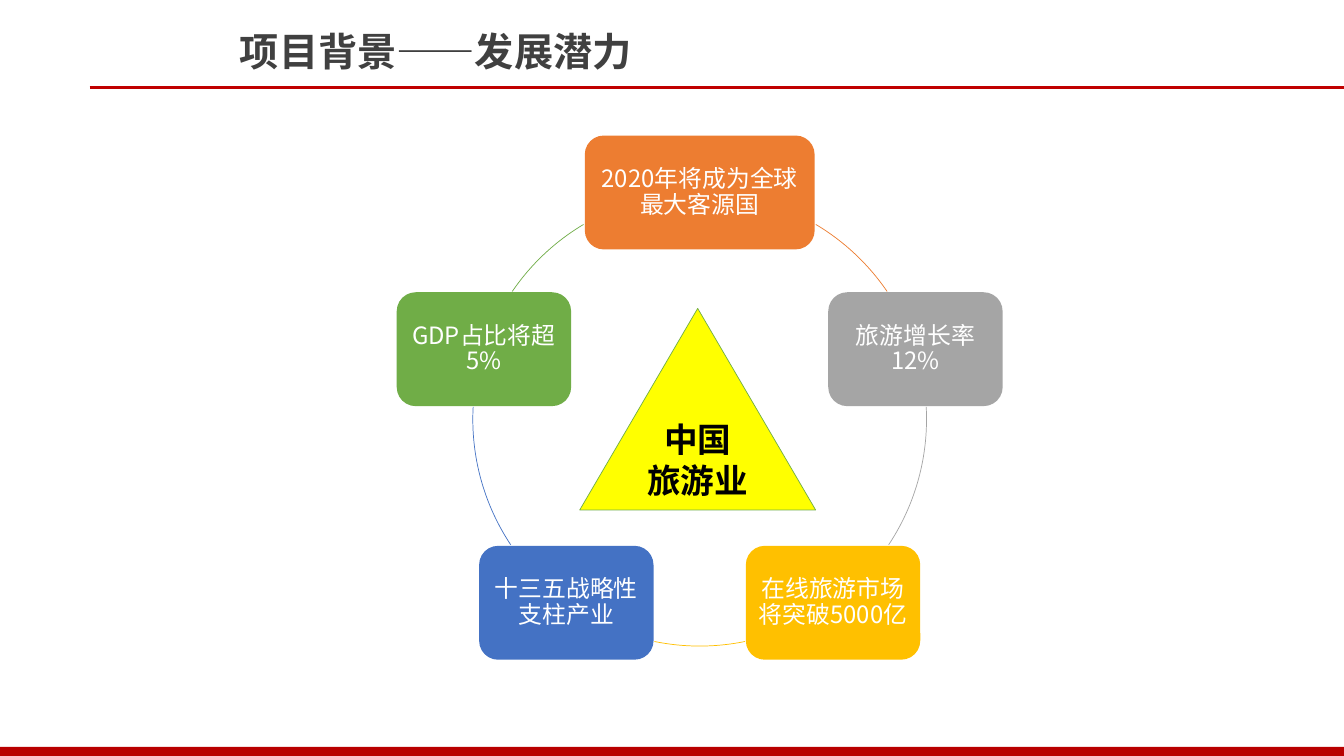
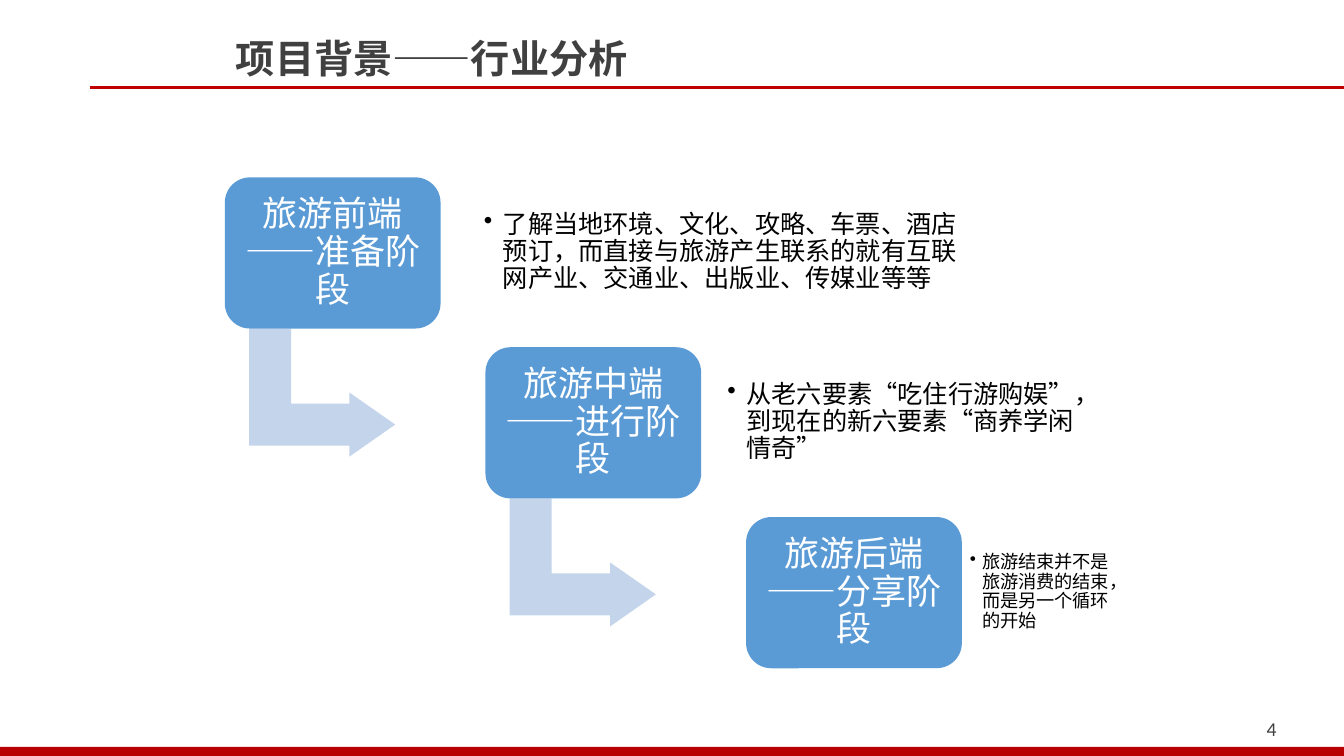
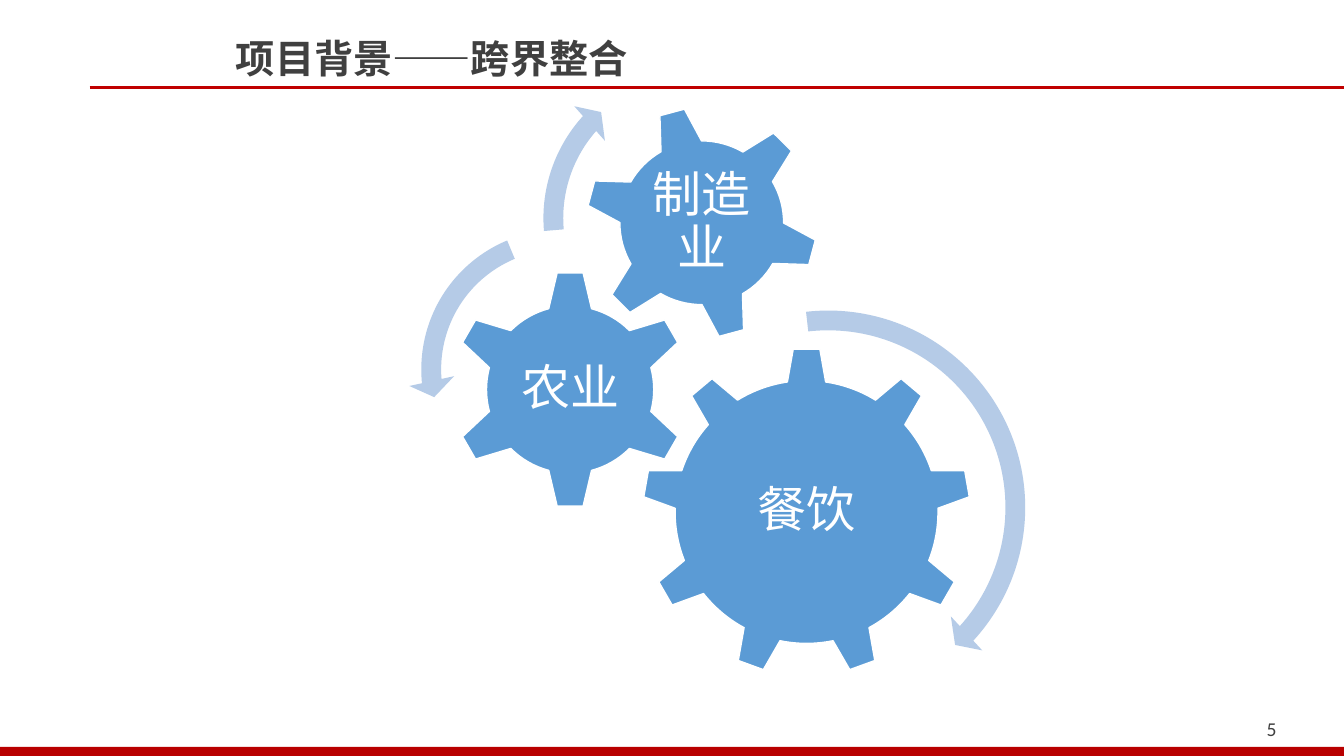
from math import cos, radians, sin

from lxml import etree
from pptx import Presentation
from pptx.dml.color import RGBColor
from pptx.enum.shapes import MSO_CONNECTOR, MSO_SHAPE
from pptx.enum.text import MSO_ANCHOR, MSO_AUTO_SIZE, PP_ALIGN
from pptx.oxml.ns import qn
from pptx.util import Inches, Pt

RECTANGLE, ROUNDED = MSO_SHAPE.RECTANGLE, MSO_SHAPE.ROUNDED_RECTANGLE
ARC, TRIANGLE, BENT_ARROW = MSO_SHAPE.ARC, MSO_SHAPE.ISOSCELES_TRIANGLE, MSO_SHAPE.BENT_UP_ARROW
GEAR_6, GEAR_9 = MSO_SHAPE.GEAR_6, MSO_SHAPE.GEAR_9
CLOCKWISE, COUNTERCLOCKWISE = MSO_SHAPE.CIRCULAR_ARROW, MSO_SHAPE.LEFT_CIRCULAR_ARROW
STRAIGHT = MSO_CONNECTOR.STRAIGHT
TOP, MIDDLE = MSO_ANCHOR.TOP, MSO_ANCHOR.MIDDLE
LEFT, CENTER, RIGHT = PP_ALIGN.LEFT, PP_ALIGN.CENTER, PP_ALIGN.RIGHT

COLORS = {
    "band": "B90000", "rule": "C00000", "title": "404040",
    "white": "FFFFFF", "black": "000000", "yellow": "FFFF00",
    "orange": "ED7D31", "gray": "A5A5A5", "gold": "FFC000",
    "indigo": "4472C4", "green": "70AD47",
    "blue": "5B9BD5", "step_arrow": "C4D5EB", "turn_arrow": "B5CBE7",
}
CJK_FONT = "Noto Sans CJK SC"


def color(name):
    return RGBColor.from_string(COLORS[name])


def add_shape(slide, kind, box, fill=None, line=None, width=0.5, adjustments=()):
    shape = slide.shapes.add_shape(kind, *map(Inches, box))
    shape.shadow.inherit = False
    for index, value in enumerate(adjustments):
        shape.adjustments[index] = value
    for part, name in ((shape.fill, fill), (shape.line.fill, line)):
        if name:
            part.solid()
            part.fore_color.rgb = color(name)
        else:
            part.background()
    if line:
        shape.line.width = Pt(width)
    return shape


def add_bullet(paragraph, indent):
    properties = paragraph._p.get_or_add_pPr()
    properties.set("marL", str(Inches(indent)))
    properties.set("indent", str(-Inches(indent)))
    etree.SubElement(properties, qn("a:buChar")).set("char", "•")


def write(shape, text, size, name, insets, font=CJK_FONT, bold=False,
          align=CENTER, anchor=MIDDLE, spacing=0.9, bullet_indent=None):
    """Fill a shape with text; insets are left, top, right, bottom."""
    frame = shape.text_frame
    sides = ("margin_left", "margin_top", "margin_right", "margin_bottom")
    settings = dict(zip(sides, map(Inches, insets)), word_wrap=True,
                    auto_size=MSO_AUTO_SIZE.NONE, vertical_anchor=anchor)
    for key, value in settings.items():
        setattr(frame, key, value)
    frame.text = text
    for paragraph in frame.paragraphs:
        paragraph.alignment = align
        paragraph.line_spacing = spacing
        if bullet_indent:
            add_bullet(paragraph, bullet_indent)
        run = paragraph.runs[0]
        for key, value in {"size": Pt(size), "bold": bold, "name": font}.items():
            setattr(run.font, key, value)
        run.font.color.rgb = color(name)
        east_asian = etree.SubElement(run._r.get_or_add_rPr(), qn("a:ea"))
        east_asian.set("typeface", CJK_FONT)


def add_text(slide, box, text, size, name, insets, **options):
    write(slide.shapes.add_textbox(*map(Inches, box)), text, size, name, insets, **options)


def place(shape, box):
    for key, value in zip(("left", "top", "width", "height"), box):
        setattr(shape, key, Inches(value))


def add_frame(layout, slide):
    """Move the bottom band and the title rule into the shared layout."""
    band = add_shape(slide, RECTANGLE, (0, 7.41, 13.33, 0.09), "band")
    rule = slide.shapes.add_connector(
        STRAIGHT, Inches(0.89), Inches(0.87), Inches(13.33), Inches(0.87))
    rule.line.color.rgb = color("rule")
    rule.line.width = Pt(2)
    etree.SubElement(rule.element.spPr, qn("a:effectLst"))
    for part in (band, rule):
        layout.shapes.element.append(part.element)


def add_slide(presentation, layout, topic, number=None):
    slide = presentation.slides.add_slide(layout)
    write(slide.shapes.title, "项目背景——" + topic, 28, "title", (0.1, 0.05, 0.1, 0.05),
          bold=True, align=LEFT, anchor=TOP, spacing=1)
    if number:
        add_text(slide, (11.92, 7.06, 0.84, 0.24), str(number), 14, "title",
                 (0.1, 0.05, 0.1, 0.05), font="Calibri", align=RIGHT, anchor=TOP, spacing=1)
    return slide


def add_cycle(slide, box, nodes, arcs):
    """Boxes at equal angles on a circle, joined by arcs."""
    left, top, diameter = box
    radius = diameter / 2
    for index, ((text, fill, width), ends) in enumerate(zip(nodes, arcs)):
        angle = radians(-90 + index * 360 / len(nodes))
        center_x = left + radius + radius * cos(angle)
        center_y = top + radius + radius * sin(angle)
        height = 1.13
        node = add_shape(slide, ROUNDED,
                         (center_x - width / 2, center_y - height / 2, width, height), fill)
        write(node, text, 17, "white", (0.07,) * 4)
        # Adjustments hold 60000ths of a degree, divided by 100000
        add_shape(slide, ARC, (left, top, diameter, diameter), line=fill,
                  adjustments=[degrees * 0.6 for degrees in ends])


def add_staircase(slide, origin, steps):
    """Stages going down to the right, each with a bulleted note."""
    for index, (stage, note, offset, width, size, inset, indent) in enumerate(steps):
        left, top = origin[0] + 2.585 * index, origin[1] + 1.685 * index
        if index < len(steps) - 1:
            arrow = add_shape(slide, BENT_ARROW, (left + 0.33, top + 1.41, 1.27, 1.45),
                              "step_arrow", adjustments=(0.328, 0.25, 0.358))
            arrow.rotation = 90
        block = add_shape(slide, ROUNDED, (left, top, 2.14, 1.5), "blue")
        write(block, stage, 25, "white", (0.1,) * 4)
        add_text(slide, (left + offset, top + 0.14, width, 1.21), note, size, "black",
                 (inset,) * 4, align=LEFT, bullet_indent=indent)


def add_gear(slide, kind, box, text, text_size, rotation=0):
    """A gear with an upright label at its centre."""
    left, top, diameter = box
    gear = add_shape(slide, kind, (left, top, diameter, diameter), "blue", "white", 1)
    gear.rotation = rotation
    width, height = text_size
    add_text(slide, (left + (diameter - width) / 2, top + (diameter - height) / 2, width, height),
             text, 35, "white", (0.05,) * 4)


def main():
    presentation = Presentation()
    presentation.slide_width, presentation.slide_height = Inches(13.33), Inches(7.5)
    layout = presentation.slide_layouts[5]
    title, *unused = layout.placeholders
    place(title, (2.24, 0.29, 4.2, 0.57))
    for placeholder in unused:
        layout.shapes.element.remove(placeholder.element)

    # Growth potential
    slide = add_slide(presentation, layout, "发展潜力")
    add_frame(layout, slide)
    place(slide.shapes.title, (2.28, 0.22, 4.2, 0.57))
    nodes = [
        ("2020年将成为全球最大客源国", "orange", 2.28),
        ("旅游增长率12%", "gray", 1.73),
        ("在线旅游市场将突破5000亿", "gold", 1.73),
        ("十三五战略性支柱产业", "indigo", 1.73),
        ("GDP占比将超5%", "green", 1.73),
    ]
    arcs = [(300.8, 325.7), (356.9, 33.6), (78.5, 101.5), (146.4, 183.1), (214.3, 239.2)]
    add_cycle(slide, (4.69, 1.91, 4.5), nodes, arcs)
    triangle = add_shape(slide, TRIANGLE, (5.75, 3.06, 2.34, 2), "yellow", "green")
    write(triangle, "中国\n旅游业", 24, "black", (0.08, 0.04, 0.08, 0.04),
          font="Cabin", bold=True, spacing=1)

    # Industry analysis
    slide = add_slide(presentation, layout, "行业分析", 4)
    add_staircase(slide, (2.23, 1.76), [
        ("旅游前端——准备阶段",
         "了解当地环境、文化、攻略、车票、酒店预订，而直接与旅游产生联系的就有"
         "互联网产业、交通业、出版业、传媒业等等", 2.47, 4.94, 18, 0.1, 0.19),
        ("旅游中端——进行阶段",
         "从老六要素“吃住行游购娱”，到现在的新六要素“商养学闲情奇”",
         2.3, 3.72, 18, 0.1, 0.19),
        ("旅游后端——分享阶段",
         "旅游结束并不是旅游消费的结束，而是另一个循环的开始",
         2.15, 1.56, 13, 0.07, 0.12),
    ])

    # Cross-industry integration
    slide = add_slide(presentation, layout, "跨界整合", 5)
    add_gear(slide, GEAR_9, (6.37, 3.45, 3.26), "餐饮", (1.95, 1.68))
    add_gear(slide, GEAR_6, (4.47, 2.68, 2.37), "农业", (1.18, 1.17))
    add_gear(slide, GEAR_6, (5.8, 1.05, 2.32), "制造业", (1.3, 1.3), 345)
    for kind, (left, top, diameter), adjustments in (
        (CLOCKWISE, (6.13, 2.95, 4.17), (0.047, 2.99, 25.393, 158.123, 0.055)),
        (COUNTERCLOCKWISE, (4.05, 2.15, 3.03), (0.065, 4.3, 104.891, 148.378, 0.075)),
        (CLOCKWISE, (5.26, 0.53, 3.27), (0.06, 3.941, 133.138, 105.082, 0.07)),
    ):
        add_shape(slide, kind, (left, top, diameter, diameter), "turn_arrow",
                  adjustments=adjustments)

    presentation.save("out.pptx")


if __name__ == "__main__":
    main()
